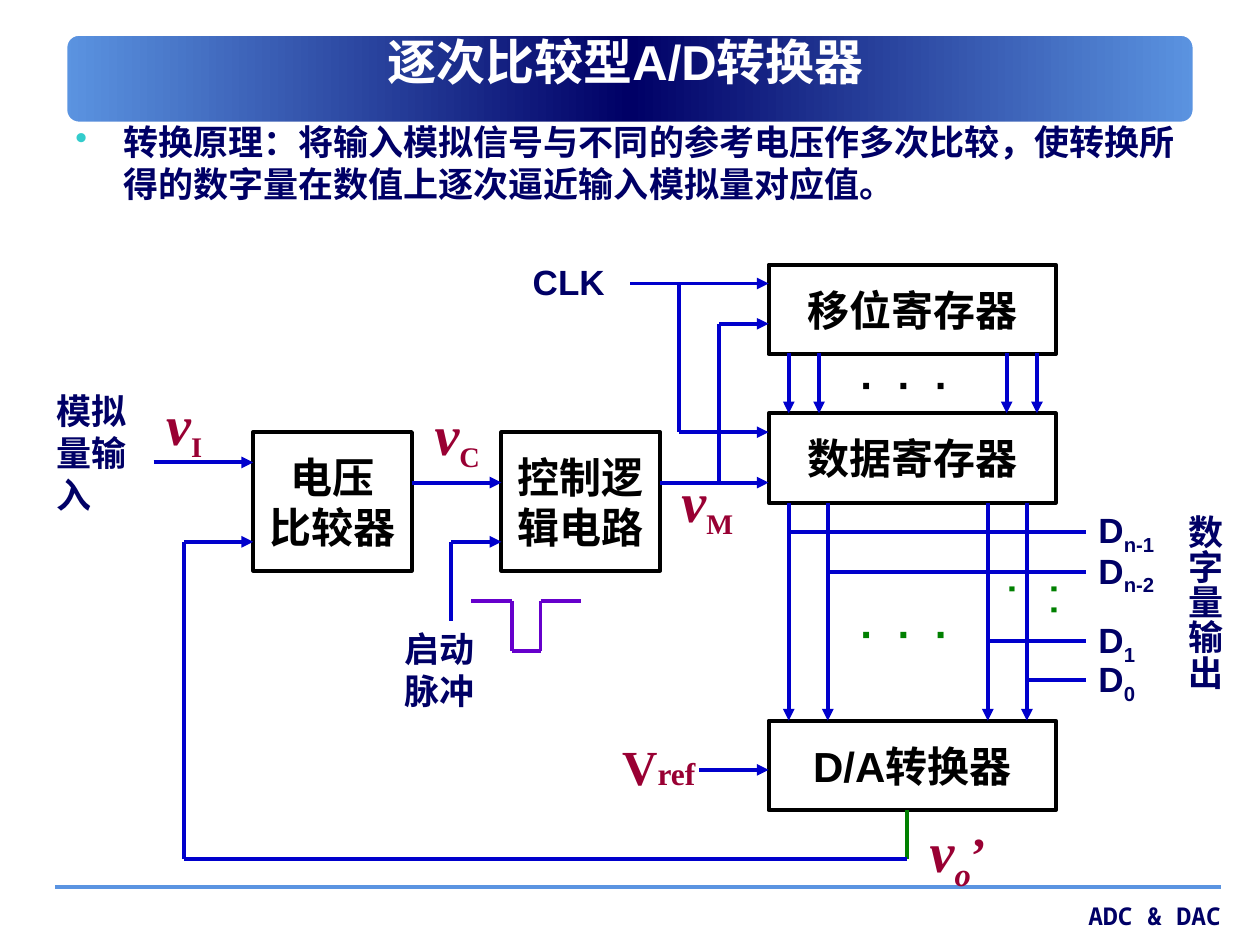
from copy import deepcopy
from typing import NamedTuple

from pptx import Presentation
from pptx.dml.color import RGBColor
from pptx.enum.shapes import MSO_CONNECTOR as CONN, MSO_SHAPE as SHAPE
from pptx.enum.text import MSO_ANCHOR as ANCHOR, PP_ALIGN as ALIGN
from pptx.oxml.ns import qn
from pptx.oxml.xmlchemy import OxmlElement as make
from pptx.util import Inches, Pt

COLORS = {
    "white": "FFFFFF", "black": "000000", "navy": "000066", "sky": "5B94E1",
    "wire": "0000CC", "green": "008000", "pulse": "6600CC", "signal": "990033",
    "bullet": "33CCCC",
}
SERIF, SANS, CJK, MONO = "Times New Roman", "Arial", "DejaVu Sans", "Noto Sans Mono"


class Span(NamedTuple):
    text: str
    size: float = 20
    font: str = SERIF
    italic: bool = False
    base: int = 0


class Label(NamedTuple):
    x: float
    y: float
    w: float
    h: float
    spans: list[Span]
    color: str = "navy"
    align: ALIGN = ALIGN.LEFT
    vertical: bool = False


class Block(NamedTuple):
    x: float
    y: float
    w: float
    h: float
    spans: list[Span]


class Wire(NamedTuple):
    x1: float
    y1: float
    x2: float
    y2: float
    arrow: bool = False
    color: str = "wire"
    width: float = 2.25


def rgb(name: str) -> RGBColor:
    return RGBColor.from_string(COLORS[name])


def write(p, spans: list[Span], color: str) -> None:
    p.text = ""
    for span in spans:
        for i, part in enumerate(span.text.split("\n")):
            if i:
                p.add_line_break()
            r = p.add_run()
            r.text = part
            r.font.size, r.font.name = Pt(span.size), span.font
            r.font.bold, r.font.italic = True, span.italic
            r.font.color.rgb = rgb(color)
            ea = make("a:ea")
            ea.set("typeface", CJK)
            r.font._element.find(qn("a:latin")).addnext(ea)
            if span.base:
                r.font._element.set("baseline", str(span.base * 1000))


def add_label(s, label: Label):
    sp = s.shapes.add_textbox(*map(Inches, label[:4]))
    tf = sp.text_frame
    tf.word_wrap = True
    if label.vertical:
        tf._txBody.bodyPr.set("vert", "eaVert")
    p = tf.paragraphs[0]
    p.alignment = label.align
    write(p, label.spans, label.color)
    return sp


def add_block(s, block: Block) -> None:
    sp = s.shapes.add_shape(SHAPE.RECTANGLE, *map(Inches, block[:4]))
    sp.shadow.inherit = False
    sp.fill.background()
    sp.line.color.rgb, sp.line.width = rgb("black"), Pt(2.25)
    tf = sp.text_frame
    tf.word_wrap, tf.vertical_anchor = False, ANCHOR.MIDDLE
    p = tf.paragraphs[0]
    p.alignment = ALIGN.CENTER
    write(p, block.spans, "black")


def add_wire(s, wire: Wire) -> None:
    c = s.shapes.add_connector(CONN.STRAIGHT, *map(Inches, wire[:4]))
    c.line.color.rgb, c.line.width = rgb(wire.color), Pt(wire.width)
    if wire.arrow:
        tail = make("a:tailEnd")
        tail.set("type", "triangle")
        c.line._get_or_add_ln().append(tail)
    c._element.spPr.append(make("a:effectLst"))


def add_banner(s) -> None:
    sp = s.shapes.add_shape(SHAPE.ROUNDED_RECTANGLE, *map(Inches, (0.5, 0.25, 9, 0.75)))
    sp.shadow.inherit = False
    sp.line.color.rgb, sp.line.width = rgb("white"), Pt(5)
    sp.fill.gradient()
    sp.fill.gradient_angle = 0
    first = sp._element.spPr.find(".//" + qn("a:gs"))
    first.addnext(deepcopy(first))
    for stop, (pos, name) in zip(sp.fill.gradient_stops, [(0, "sky"), (0.5, "navy"), (1, "sky")]):
        stop.position, stop.color.rgb = pos, rgb(name)


def add_bullet(p) -> None:
    pPr = p._p.get_or_add_pPr()
    pPr.set("marL", str(Inches(0.38)))
    pPr.set("indent", str(-Inches(0.38)))
    color, srgb, char = make("a:buClr"), make("a:srgbClr"), make("a:buChar")
    srgb.set("val", COLORS["bullet"])
    color.append(srgb)
    char.set("char", "•")
    pPr.extend([color, char])


def signal(x: float, y: float, w: float, sub: str) -> Label:
    return Label(x, y, w, 0.63, [Span("v", 32, italic=True), Span(sub, 28, base=-25)], "signal")


BLOCKS = [
    Block(6.1, 2.1, 2.28, 0.71, [Span("移位寄存器", 24)]),
    Block(6.1, 3.28, 2.28, 0.71, [Span("数据寄存器", 24)]),
    Block(6.1, 5.72, 2.28, 0.71, [Span("D/A", 24, SANS), Span("转换器", 24)]),
    Block(3.98, 3.43, 1.26, 1.1, [Span("控制逻\n辑电路", 24)]),
    Block(2.01, 3.43, 1.26, 1.1, [Span("电压\n比较器", 24)]),
]
INPUTS = [
    (1.22, 3.67, 2.01), (1.46, 4.3, 2.01), (3.27, 3.83, 3.98), (3.58, 4.3, 3.98),
    (5, 2.25, 6.1), (5.71, 2.57, 6.1), (5.39, 3.43, 6.1), (5.24, 3.83, 6.1), (5.55, 6.11, 6.1),
]
LINKS = [
    Wire(3.58, 4.3, 3.58, 4.93), Wire(7.2, 6.43, 7.2, 6.82, color="green"),
    Wire(1.46, 4.3, 1.46, 6.82), Wire(7.2, 6.82, 1.46, 6.82),
    Wire(5.39, 2.25, 5.39, 3.43), Wire(5.71, 2.57, 5.71, 3.83),
]
OUTPUTS = [("n-1", 6.26, 4.22), ("n-2", 6.57, 4.54), ("1", 7.84, 5.09), ("0", 8.15, 5.4)]
PULSE = [(3.74, 4.77), (4.06, 4.77), (4.06, 5.17), (4.29, 5.17), (4.29, 4.77), (4.61, 4.77)]
LABELS = [
    Label(7.42, 7.1, 2.37, 0.33, [Span("ADC & DAC", 14, MONO)], align=ALIGN.RIGHT),
    Label(6.73, 2.8, 0.94, 0.5, [Span("·  ·  ·", 24, SANS)], "black"),
    Label(6.73, 4.77, 0.94, 0.5, [Span("·  ·  ·", 24, SANS)], "green"),
    Label(8.07, 4.54, 0.53, 0.55, [Span("· · ·", 20, SANS)], "green", vertical=True),
    signal(1.22, 3.04, 0.55, "I"),
    signal(3.35, 3.12, 0.71, "C"),
    signal(5.31, 3.65, 0.71, "M"),
    Label(7.28, 6.43, 0.79, 0.63,
          [Span("v", 32, italic=True), Span("o", 32, italic=True, base=-25), Span("’", 28)], "signal"),
    Label(4.84, 5.8, 0.87, 0.57, [Span("V", 28), Span("ref", 18)], "signal"),
    Label(4.13, 2.02, 0.87, 0.43, [Span("CLK", 20, SANS)]),
    Label(0.35, 3.04, 0.87, 1.1, [Span("模拟量输入")]),
    Label(9.25, 3.99, 0.53, 1.65, [Span("数字量输出")], vertical=True),
    Label(3.11, 4.93, 0.87, 0.77, [Span("启动脉冲")]),
]
TITLE = Label(0.59, 0.28, 8.75, 0.41, [
    Span("逐次比较型", 28, CJK), Span("A/D", 28, SANS), Span("转换器", 28, CJK),
], "white", ALIGN.CENTER)
BODY = Label(0.5, 0.91, 9, 1.65, [Span(
    "转换原理：将输入模拟信号与不同的参考电压作多次比较，使转换所得的数字量在数值上逐次逼近输入模拟量对应值。",
    20, CJK)])


def main() -> None:
    """Build the successive-approximation A/D converter slide."""
    prs = Presentation()
    prs.slide_width, prs.slide_height = Inches(10), Inches(7.5)
    s = prs.slides.add_slide(prs.slide_layouts[6])
    add_banner(s)
    add_wire(s, Wire(0.44, 7.04, 9.69, 7.04, color="sky", width=2))
    add_label(s, TITLE).text_frame.vertical_anchor = ANCHOR.MIDDLE
    add_bullet(add_label(s, BODY).text_frame.paragraphs[0])
    for block in BLOCKS:
        add_block(s, block)
    wires = [Wire(x1, y, x2, y, True) for x1, y, x2 in INPUTS]
    wires += [Wire(x, 2.8, x, 3.28, True) for x in (6.26, 6.5, 7.99, 8.23)]
    wires += [Wire(x, 3.99, x, 5.72, True) for _, x, _ in OUTPUTS]
    wires += LINKS + [Wire(x, y, 8.62, y) for _, x, y in OUTPUTS]
    wires += [Wire(*a, *b, color="pulse") for a, b in zip(PULSE, PULSE[1:])]
    for wire in wires:
        add_wire(s, wire)
    bits = [Label(8.62, y - 0.23, 0.87, 0.43, [Span("D", 20, SANS), Span(bit, 20, SANS, base=-25)])
            for bit, _, y in OUTPUTS]
    for label in LABELS + bits:
        add_label(s, label)
    prs.save("out.pptx")


if __name__ == "__main__":
    main()
